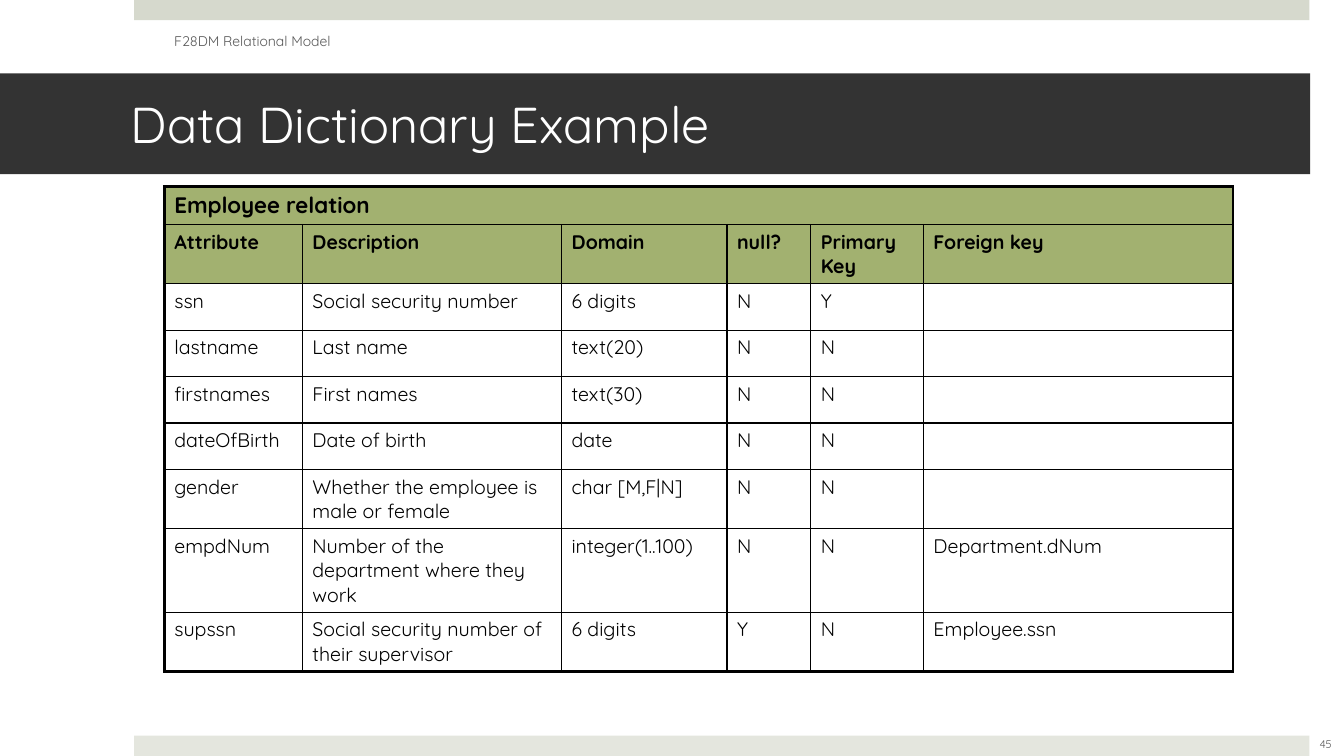
from dataclasses import dataclass

from lxml import etree
from pptx import Presentation
from pptx.dml.color import RGBColor
from pptx.enum.shapes import MSO_SHAPE
from pptx.enum.text import MSO_ANCHOR, PP_ALIGN
from pptx.oxml.ns import qn
from pptx.util import Cm, Pt

RECTANGLE = MSO_SHAPE.RECTANGLE
MIDDLE = MSO_ANCHOR.MIDDLE
LEFT = PP_ALIGN.LEFT
CENTER = PP_ALIGN.CENTER

FONT = "Quicksand"
COLORS = {
    "top band": "D6D9CD",
    "bottom band": "E4E6DE",
    "title band": "333333",
    "title": "FFFFFF",
    "header fill": "A2B170",
    "table text": "000000",
    "border": "000000",
    "note": "595959",
}
THIN, THICK = Pt(1), Pt(2.25)


@dataclass
class Band:
    left: float
    top: float
    width: float
    height: float
    color: str


@dataclass
class Note:
    text: str
    left: float
    top: float
    width: float
    height: float
    size: float
    align: PP_ALIGN


BANDS = [
    Band(3.38, 0, 29.62, 0.51, "top band"),
    Band(3.38, 18.54, 29.62, 0.51, "bottom band"),
]
TITLE_BAND = Band(0, 1.85, 33.02, 2.54, "title band")
NOTES = [
    Note("45", 32.56, 18.24, 1.7, 1.02, 8, CENTER),
    Note("F28DM Relational Model", 4.14, 0.53, 10.72, 1.02, 10, LEFT),
]

TABLE_LEFT, TABLE_TOP = 4.14, 4.7
COLUMN_WIDTHS = [3.48, 6.53, 4.17, 2.11, 2.84, 7.8]
ROW_HEIGHTS = [0.89] * 2 + [1.17] * 5 + [2.03, 1.45]
HEADER_ROWS = 2
DICTIONARY = [
    ["Employee relation", "", "", "", "", ""],
    ["Attribute", "Description", "Domain", "null?", "Primary Key", "Foreign key"],
    ["ssn", "Social security number", "6 digits", "N", "Y", ""],
    ["lastname", "Last name", "text(20)", "N", "N", ""],
    ["firstnames", "First names", "text(30)", "N", "N", ""],
    ["dateOfBirth", "Date of birth", "date", "N", "N", ""],
    ["gender", "Whether the employee is male or female", "char [M,F|N]", "N", "N", ""],
    ["empdNum", "Number of the department where they work", "integer(1..100)",
     "N", "N", "Department.dNum"],
    ["supssn", "Social security number of their supervisor", "6 digits",
     "Y", "N", "Employee.ssn"],
]


def add_run(paragraph, text: str, size: float, color: str, bold: bool = False) -> None:
    run = paragraph.add_run()
    run.text = text
    run.font.name = FONT
    run.font.size = Pt(size)
    run.font.bold = bold
    run.font.color.rgb = RGBColor.from_string(COLORS[color])


def add_band(slide, band: Band):
    shape = slide.shapes.add_shape(
        RECTANGLE, Cm(band.left), Cm(band.top), Cm(band.width), Cm(band.height))
    shape.shadow.inherit = False
    shape.fill.solid()
    shape.fill.fore_color.rgb = RGBColor.from_string(COLORS[band.color])
    shape.line.fill.background()
    return shape


def add_title(slide, text: str) -> None:
    frame = add_band(slide, TITLE_BAND).text_frame
    frame.word_wrap = True
    frame.vertical_anchor = MIDDLE
    frame.margin_left, frame.margin_right = Cm(3.3), Cm(0.76)
    paragraph = frame.paragraphs[0]
    paragraph.alignment = LEFT
    add_run(paragraph, text, 36, "title")


def add_note(slide, note: Note) -> None:
    shape = slide.shapes.add_textbox(
        Cm(note.left), Cm(note.top), Cm(note.width), Cm(note.height))
    frame = shape.text_frame
    frame.word_wrap = True
    frame.vertical_anchor = MIDDLE
    paragraph = frame.paragraphs[0]
    paragraph.alignment = note.align
    add_run(paragraph, note.text, note.size, "note")


def set_borders(cell, widths: dict[str, int]) -> None:
    properties = cell._tc.get_or_add_tcPr()
    for side, width in widths.items():
        line = etree.SubElement(properties, qn(f"a:ln{side}"), w=str(width))
        fill = etree.SubElement(line, qn("a:solidFill"))
        etree.SubElement(fill, qn("a:srgbClr"), val=COLORS["border"])


def add_dictionary(slide) -> None:
    last_row, last_column = len(ROW_HEIGHTS) - 1, len(COLUMN_WIDTHS) - 1
    table = slide.shapes.add_table(
        len(ROW_HEIGHTS), len(COLUMN_WIDTHS), Cm(TABLE_LEFT), Cm(TABLE_TOP),
        Cm(sum(COLUMN_WIDTHS)), Cm(sum(ROW_HEIGHTS))).table
    table.first_row = table.horz_banding = False
    for column, width in zip(table.columns, COLUMN_WIDTHS):
        column.width = Cm(width)
    for row, height in zip(table.rows, ROW_HEIGHTS):
        row.height = Cm(height)
    table.cell(0, 0).merge(table.cell(0, last_column))

    for row_index, texts in enumerate(DICTIONARY):
        is_header = row_index < HEADER_ROWS
        for column_index, text in enumerate(texts):
            cell = table.cell(row_index, column_index)
            # Thick frame around the table, thin lines inside
            at_right = column_index == last_column or cell.is_merge_origin
            set_borders(cell, {
                "L": THICK if column_index == 0 else THIN,
                "R": THICK if at_right else THIN,
                "T": THICK if row_index == 0 else THIN,
                "B": THICK if row_index == last_row else THIN,
            })
            if is_header:
                cell.fill.solid()
                cell.fill.fore_color.rgb = RGBColor.from_string(COLORS["header fill"])
            else:
                cell.fill.background()
            if text:
                size = 16 if row_index == 0 else 14
                add_run(cell.text_frame.paragraphs[0], text, size, "table text", is_header)


def main() -> None:
    presentation = Presentation()
    presentation.slide_width, presentation.slide_height = Cm(33.87), Cm(19.05)
    slide = presentation.slides.add_slide(presentation.slide_layouts[6])

    # Bands and title
    for band in BANDS:
        add_band(slide, band)
    add_title(slide, "Data Dictionary Example")

    # Data dictionary
    add_dictionary(slide)

    # Page number and running header
    for note in NOTES:
        add_note(slide, note)

    presentation.save("out.pptx")


if __name__ == "__main__":
    main()
